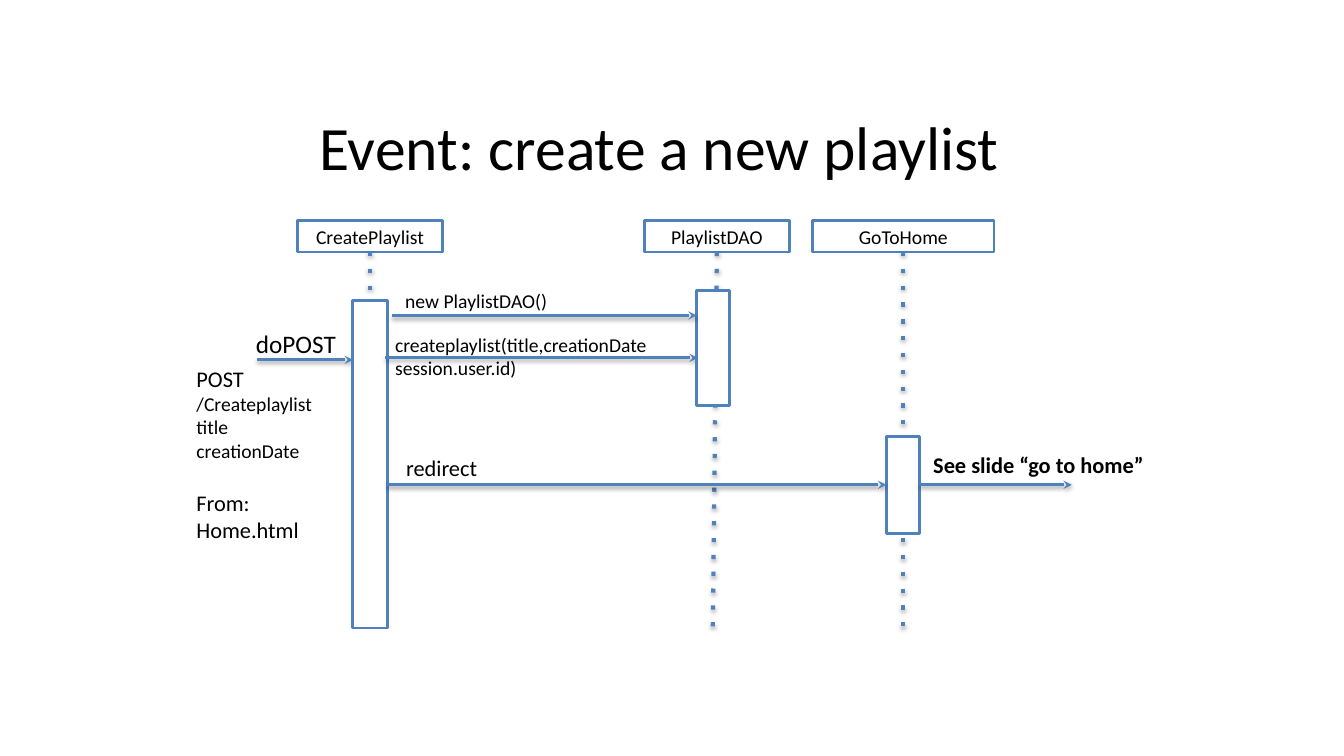
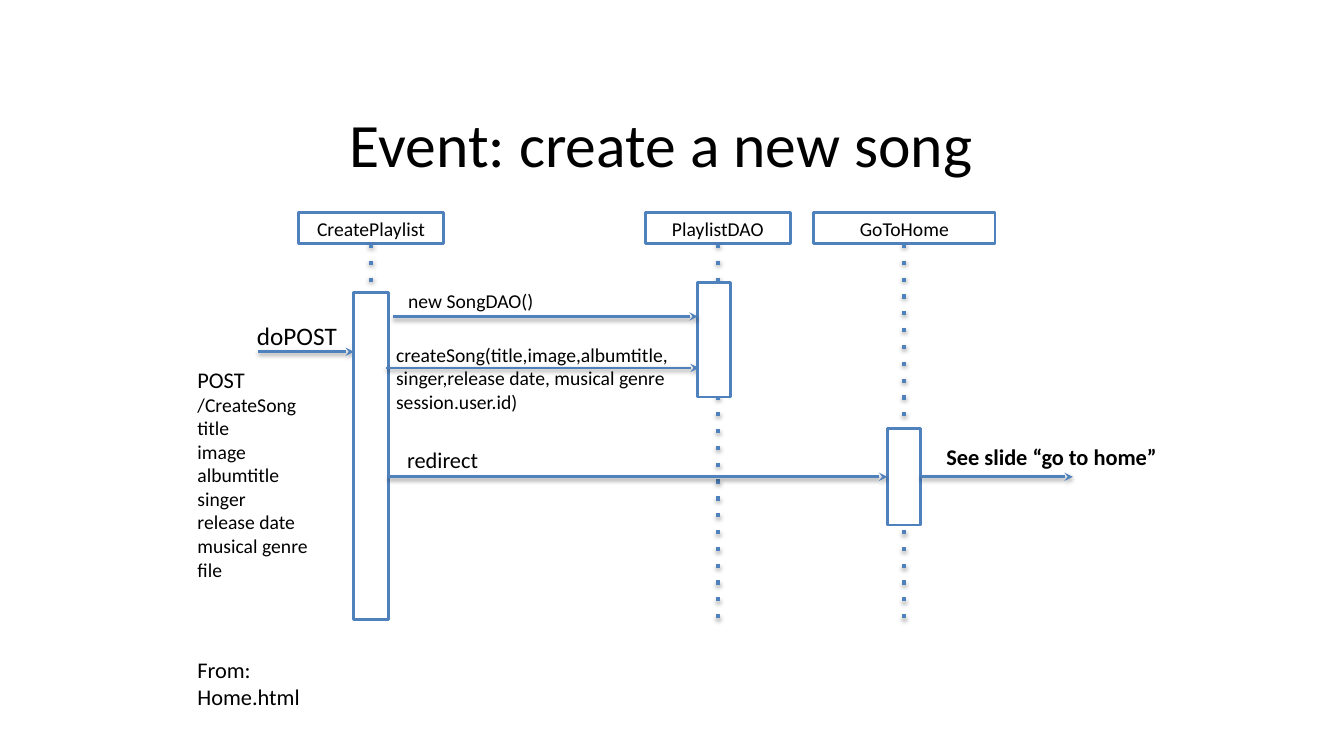
from pptx import Presentation
from pptx.dml.color import RGBColor
from pptx.enum.shapes import MSO_CONNECTOR, MSO_SHAPE
from pptx.enum.text import MSO_ANCHOR, MSO_AUTO_SIZE, PP_ALIGN
from pptx.oxml.ns import qn
from pptx.util import Pt
from lxml import etree

EMU_PER_PX = 9144
STRAIGHT = MSO_CONNECTOR.STRAIGHT
RECTANGLE = MSO_SHAPE.RECTANGLE
LEFT, CENTER = PP_ALIGN.LEFT, PP_ALIGN.CENTER
TOP, MIDDLE = MSO_ANCHOR.TOP, MSO_ANCHOR.MIDDLE
FIXED_SIZE = MSO_AUTO_SIZE.NONE
LEFT_SIDE, BOTTOM_SIDE, RIGHT_SIDE = 1, 2, 3
TITLE_ONLY = 5


def color(value):
    return RGBColor.from_string(value)


def px(value):
    return value * EMU_PER_PX


class SequenceDeck:
    font = "Calibri"
    ink = "000000"
    accent = "4F81BD"
    paper = "FFFFFF"

    def __init__(self):
        self.deck = Presentation()
        self.deck.slide_width, self.deck.slide_height = px(1333), px(750)

    def start_slide(self, dx, dy):
        self.dx, self.dy = dx, dy
        self.slide = self.deck.slides.add_slide(self.deck.slide_layouts[TITLE_ONLY])

    def point(self, x, y):
        return px(x + self.dx), px(y + self.dy)

    def fill_text(self, frame, lines, align, anchor):
        frame.word_wrap = True
        frame.auto_size = FIXED_SIZE
        frame.vertical_anchor = anchor
        for index, (text, size, bold, gap) in enumerate(lines):
            paragraph = frame.paragraphs[0] if index == 0 else frame.add_paragraph()
            paragraph.alignment = align
            paragraph.space_before = Pt(gap)
            run = paragraph.add_run()
            run.text = text
            run.font.name = self.font
            run.font.size = Pt(size)
            run.font.bold = bold
            run.font.color.rgb = color(self.ink)

    def title(self, text, x, y):
        heading = self.slide.shapes.title
        heading.left, heading.top = self.point(x, y)
        heading.width, heading.height = px(900), px(94)
        self.fill_text(heading.text_frame, [(text, 44, False, 0)], CENTER, MIDDLE)

    def box(self, x, y, width, height, text=None):
        box = self.slide.shapes.add_shape(RECTANGLE, *self.point(x, y), px(width), px(height))
        box.shadow.inherit = False
        box.fill.solid()
        box.fill.fore_color.rgb = color(self.paper)
        box.line.color.rgb = color(self.accent)
        box.line.width = Pt(2)
        if text:
            self.fill_text(box.text_frame, [(text, 14, False, 0)], CENTER, MIDDLE)
        return box

    def label(self, x, y, width, height, lines, align=LEFT):
        label = self.slide.shapes.add_textbox(*self.point(x, y), px(width), px(height))
        self.fill_text(label.text_frame, lines, align, TOP)

    def line(self, start, end, weight, ending, value, shadow_distance, shadow_alpha):
        line = self.slide.shapes.add_connector(STRAIGHT, *self.point(*start), *self.point(*end))
        line.line.color.rgb = color(self.accent)
        line.line.width = Pt(weight)
        properties = line._element.spPr
        stroke = properties.find(qn("a:ln"))
        etree.SubElement(stroke, qn(ending)).set(*value)
        effects = etree.SubElement(properties, qn("a:effectLst"))
        shadow = etree.SubElement(
            effects, qn("a:outerShdw"), blurRad="40000", dist=str(shadow_distance),
            dir="5400000", rotWithShape="0")
        tint = etree.SubElement(shadow, qn("a:srgbClr"), val=self.ink)
        etree.SubElement(tint, qn("a:alpha"), val=str(shadow_alpha * 1000))
        return line

    def arrow(self, start, end):
        return self.line(start, end, 2, "a:tailEnd", ("type", "stealth"), 20000, 38)

    def lifeline(self, name, x, width, foot):
        head = self.box(x, 219, width, 31, name)
        dots = self.line((x + width // 2, 250), foot, 3, "a:prstDash", ("val", "dot"), 23000, 35)
        dots.begin_connect(head, BOTTOM_SIDE)

    def save(self):
        self.deck.save("out.pptx")


def draw_event(deck, event):
    deck.start_slide(*event["shift"])
    deck.title(event["title"], *event["title_at"])

    deck.lifeline("CreatePlaylist", 295, 144, (367, 606))
    deck.arrow((255, 357), (350, 357))
    deck.label(244, 321, 100, 30, [("doPOST", 18, False, 0)])
    deck.box(350, 298, 34, 325)

    deck.lifeline("PlaylistDAO", 639, 144, event["dao_foot"])
    create_y = event["create_y"]
    deck.arrow((382, create_y), (692, create_y))
    deck.label(382, create_y - 30, event["create_width"], 25,
               [(event["create"], 14, False, 0)])
    deck.box(691, 288, 33, 114)

    deck.lifeline("GoToHome", 806, 180, (896, 623))
    home_bar = deck.box(879, 433, 33, 96)
    redirect = deck.arrow((384, 481), (879, 481))
    redirect.end_connect(home_bar, LEFT_SIDE)
    deck.label(392, 446, 92, 28, [("redirect", 16, False, 0)], CENTER)

    request = [("POST", 16, False, 0)]
    request += [(text, 14, False, 0) for text in event["parameters"]]
    request += [("From:", 16, False, event["source_gap"]), ("Home.html", 16, False, 0)]
    deck.label(185, event["request_y"], 158, 249, request)

    new_y = event["new_y"]
    deck.arrow((389, new_y), (691, new_y))
    deck.label(*event["new_at"], 293, 25, [(event["new"], 14, False, 0)])
    onward = deck.arrow((912, 481), (1063, 481))
    onward.begin_connect(home_bar, RIGHT_SIDE)
    deck.label(*event["see_at"], 248, 28, [("See slide “go to home”", 16, True, 0)], CENTER)


EVENTS = [
    {
        "shift": (0, 0),
        "title": "Event: create a new playlist",
        "title_at": (204, 98),
        "dao_foot": (707, 623),
        "create": "createplaylist(title,creationDate session.user.id)",
        "create_y": 355,
        "create_width": 282,
        "parameters": ["/Createplaylist", "title", "creationDate"],
        "source_gap": 19.5,
        "request_y": 357,
        "new": "new PlaylistDAO()",
        "new_y": 313,
        "new_at": (392, 282),
        "see_at": (906, 443),
    },
    {
        "shift": (1, -8),
        "title": "Event: create a new song",
        "title_at": (205, 103),
        "dao_foot": (711, 624),
        "create": "createSong(title,image,albumtitle,singer,release date, musical genre session.user.id)",
        "create_y": 373,
        "create_width": 295,
        "parameters": ["/CreateSong", "title", "image", "albumtitle", "singer",
                       "release date", "musical genre", "file"],
        "source_gap": 53.7,
        "request_y": 366,
        "new": "new SongDAO()",
        "new_y": 322,
        "new_at": (394, 290),
        "see_at": (918, 443),
    },
]


def main():
    deck = SequenceDeck()
    for event in EVENTS:
        draw_event(deck, event)
    deck.save()


if __name__ == "__main__":
    main()
